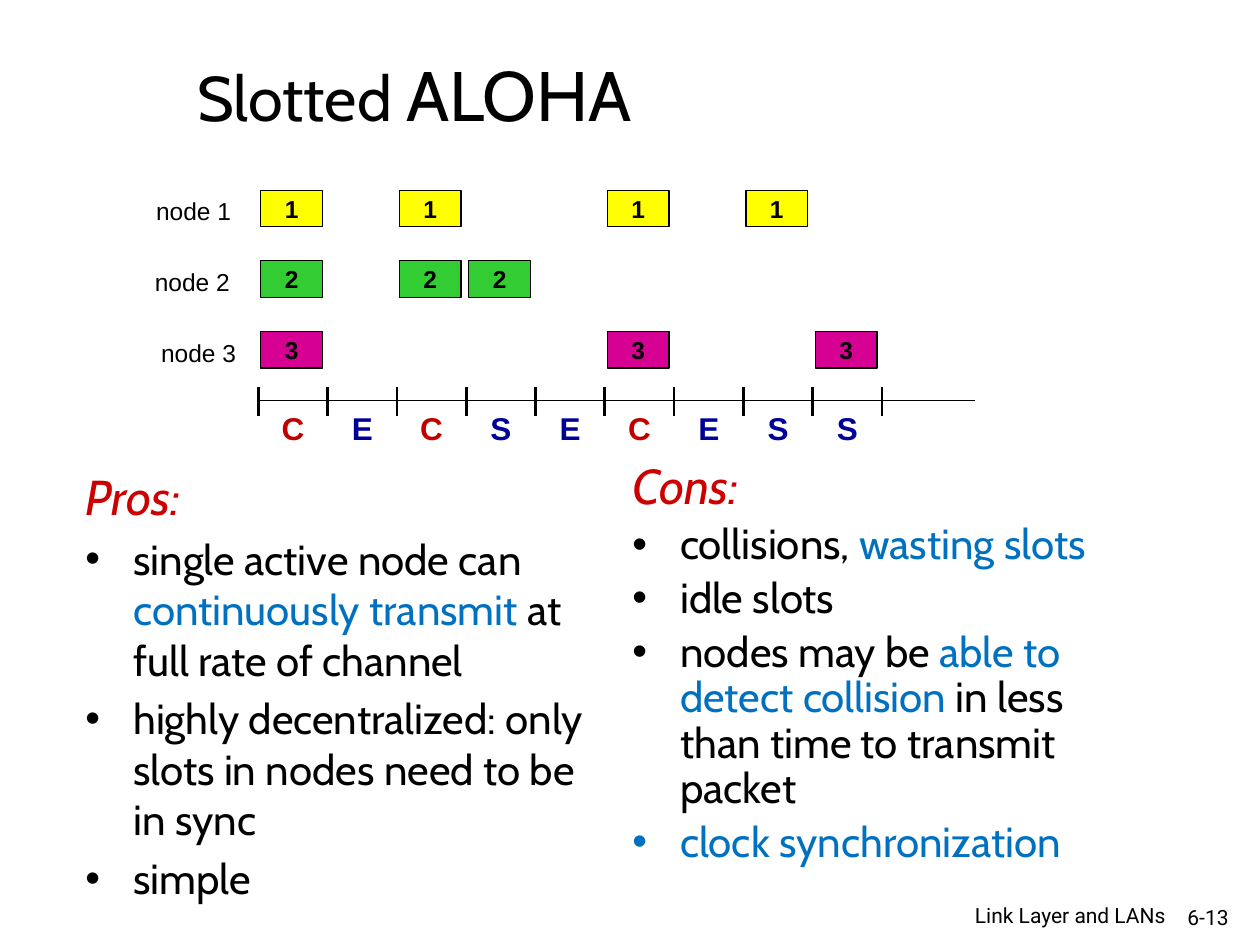
from lxml.etree import SubElement
from pptx import Presentation
from pptx.dml.color import RGBColor
from pptx.enum.shapes import MSO_CONNECTOR as Connector, MSO_SHAPE as Shape
from pptx.enum.text import MSO_ANCHOR as Anchor, PP_ALIGN as Align
from pptx.oxml.ns import qn
from pptx.util import Inches, Pt

BLACK, RED, BLUE, NAVY = "000000", "CC0000", "0070C0", "000099"
COLLISION = "C00000"

TITLE = [("Slotted ", {"size": 36}), ("ALOHA", {"size": 40})]
NODES = [
    ("1", "FFFF00", 1.14, [0, 2, 5, 7]),
    ("2", "33CC33", 1.13, [0, 2, 3]),
    ("3", "D60093", 1.18, [0, 5, 8]),
]
OUTCOMES = "CECSECESS"
LISTS = [
    (0.58, 3.65, 1.0, "Pros:", [
        [("single active node can ", BLACK), ("continuously transmit ", BLUE),
         ("at full rate of channel", BLACK)],
        [("highly decentralized: only slots in nodes need to be in sync", BLACK)],
        [("simple", BLACK)],
    ]),
    (4.92, 3.62, 0.9, "Cons:", [
        [("collisions, ", BLACK), ("wasting slots", BLUE)],
        [("idle slots", BLACK)],
        [("nodes may be ", BLACK), ("able to detect collision", BLUE),
         (" in less than time to transmit packet", BLACK)],
        [("clock synchronization", BLUE)],
    ]),
]
FOOTERS = [("6-13", 9.25, 0.6, 0.3), ("Link Layer and LANs", 6.97, 2.38, 0.26)]

AXIS_LEFT, AXIS_RIGHT, AXIS_Y = 2.05, 7.74, 3.18
SLOT, ROW_TOP, ROW_STEP = 0.55, 1.51, 0.56
PACKET_WIDTH, PACKET_HEIGHT = 0.49, 0.29
LABEL_WIDTH, LETTER_WIDTH = 0.88, 0.38


def color(value):
    return RGBColor.from_string(value)


def add_span(para, text, **formats):
    span = para.add_run()
    span.text = text
    values = {"name": "Arial", "size": 14, "color": BLACK} | formats
    span.font.color.rgb = color(values.pop("color"))
    values["size"] = Pt(values["size"])
    for name, value in values.items():
        setattr(span.font, name, value)


def add_box(page, left, top, width, height, anchor=Anchor.TOP):
    box = page.shapes.add_textbox(*map(Inches, (left, top, width, height)))
    box.text_frame.word_wrap = True
    box.text_frame.vertical_anchor = anchor
    return box.text_frame


def add_label(page, text, place, align=Align.LEFT, anchor=Anchor.TOP, **formats):
    para = add_box(page, *place, anchor).paragraphs[0]
    para.alignment = align
    add_span(para, text, **formats)


def add_line(page, x1, y1, x2, y2, weight):
    line = page.shapes.add_connector(Connector.STRAIGHT, *map(Inches, (x1, y1, x2, y2)))
    line.line.color.rgb = color(BLACK)
    line.line.width = Pt(weight)
    SubElement(line._element.spPr, qn("a:effectLst"))


def add_packet(page, left, top, number, fill):
    packet = page.shapes.add_shape(
        Shape.RECTANGLE, *map(Inches, (left, top, PACKET_WIDTH, PACKET_HEIGHT)))
    packet.shadow.inherit = False
    packet.fill.solid()
    packet.fill.fore_color.rgb = color(fill)
    packet.line.color.rgb = color(BLACK)
    packet.line.width = Pt(0.75)
    frame = packet.text_frame
    frame.margin_top = frame.margin_bottom = 0
    para = frame.paragraphs[0]
    para.alignment = Align.CENTER
    add_span(para, number, bold=True)


def add_list(page, left, top, spacing, heading, items):
    frame = add_box(page, left, top, 4.17, 3.5)
    rows = [(28, [(heading, RED)])] + [(24, item) for item in items]
    for index, (size, spans) in enumerate(rows):
        para = frame.add_paragraph() if index else frame.paragraphs[0]
        para.line_spacing = spacing
        para.space_before = Pt(size * 0.2)
        props = para._p.get_or_add_pPr()
        props.set("marL", str(Inches(0.38)))
        props.set("indent", str(-Inches(0.38)))
        if index:
            SubElement(props, qn("a:buFont"), typeface="Arial")
            SubElement(props, qn("a:buChar"), char="•")
        for text, tint in spans:
            add_span(para, text, name="Cabin", size=size, color=tint, italic=not index)


def add_timeline(page):
    for row, (number, fill, label_left, slots) in enumerate(NODES):
        top = ROW_TOP + row * ROW_STEP
        add_label(page, f"node {number}", (label_left, top, LABEL_WIDTH, 0.33))
        for slot in slots:
            add_packet(page, AXIS_LEFT + slot * SLOT + 0.02, top, number, fill)
    add_line(page, AXIS_LEFT, AXIS_Y, AXIS_RIGHT, AXIS_Y, 0.75)
    for tick in range(len(OUTCOMES) + 1):
        x = AXIS_LEFT + tick * SLOT
        add_line(page, x, AXIS_Y - 0.11, x, AXIS_Y + 0.12, 1.5)
    for slot, letter in enumerate(OUTCOMES):
        left = AXIS_LEFT + (slot + 0.5) * SLOT - LETTER_WIDTH / 2
        add_label(page, letter, (left, 3.2, LETTER_WIDTH, 0.4), Align.CENTER,
                  size=18, bold=True, color=COLLISION if letter == "C" else NAVY)


def main():
    deck = Presentation()
    deck.slide_width, deck.slide_height = Inches(10), Inches(7.5)
    page = deck.slides.add_slide(deck.slide_layouts[6])
    title = add_box(page, 0.58, 0.12, 5.42, 1.25, Anchor.MIDDLE).paragraphs[0]
    title.alignment = Align.CENTER
    for text, formats in TITLE:
        add_span(title, text, name="Cabin", **formats)
    add_timeline(page)
    for column in LISTS:
        add_list(page, *column)
    for text, left, width, height in FOOTERS:
        add_label(page, text, (left, 7.13, width, height), Align.RIGHT,
                  Anchor.MIDDLE, name="Roboto", size=12)
    deck.save("out.pptx")


if __name__ == "__main__":
    main()
